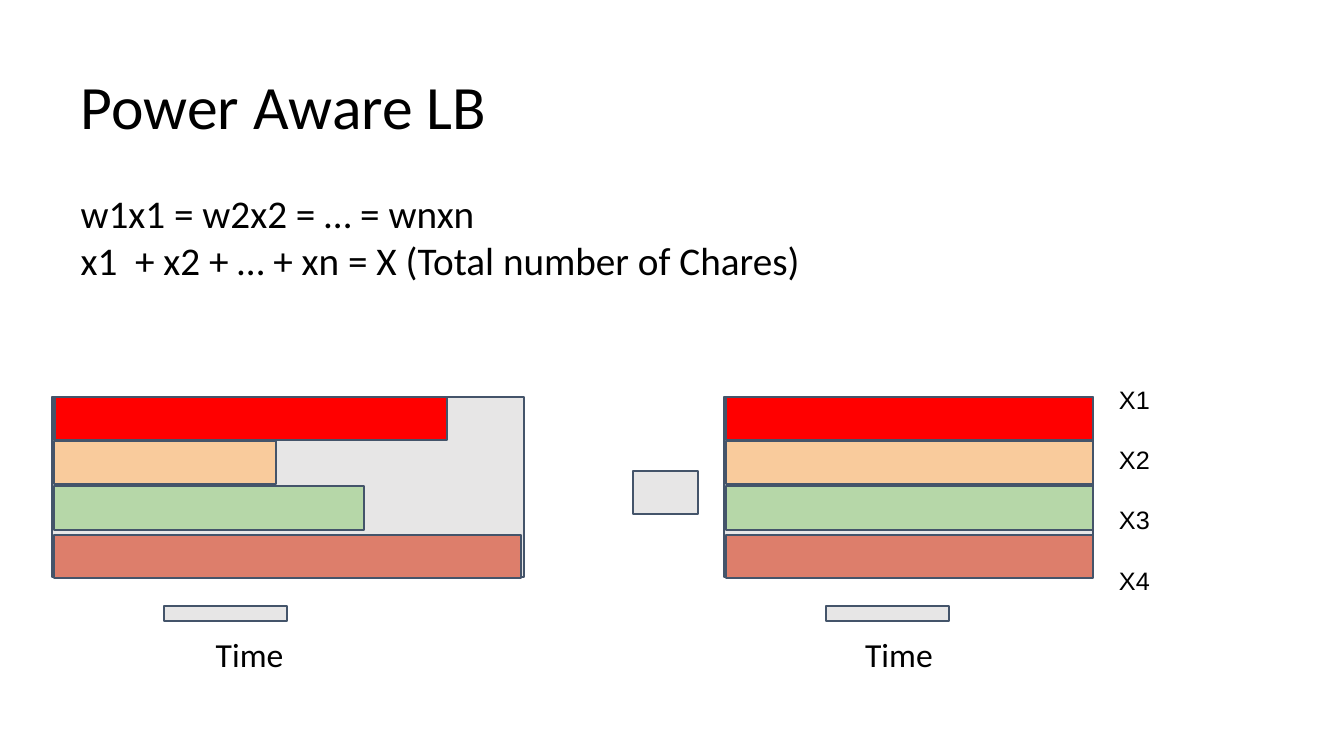
from pptx import Presentation
from pptx import util as u
from pptx.dml import color
from pptx.enum import shapes, text

INK = "000000"
GRAY = "E7E6E6"
EDGE = "44546A"
TASKS = ["FF0000", "F9CB9C", "B6D7A8", "DD7E6B"]
ROWS = [0, 0.44, 0.89, 1.37]


def rgb(code):
    """Turn a hex string into a colour."""
    return color.RGBColor.from_string(code)


def bar(slide, left, top, width, height, fill=GRAY):
    """Draw one outlined bar."""
    box = slide.shapes.add_shape(
        shapes.MSO_SHAPE.RECTANGLE, *map(u.Inches, (left, top, width, height)))
    box.shadow.inherit = False
    box.fill.solid()
    box.fill.fore_color.rgb = rgb(fill)
    box.line.color.rgb = rgb(EDGE)
    box.line.width = u.Pt(1.5)


def label(slide, left, top, width, height, lines, size, font="Calibri",
          frame=None, **para):
    """Write lines of text in a box."""
    box = slide.shapes.add_textbox(*map(u.Inches, (left, top, width, height)))
    body = box.text_frame
    inset = u.Inches(0.13)
    style = dict(word_wrap=True, margin_left=inset, margin_right=inset,
                 margin_top=inset, margin_bottom=inset)
    style.update(frame or {})
    for name, value in style.items():
        setattr(body, name, value)
    for i, line in enumerate(lines):
        part = body.add_paragraph() if i else body.paragraphs[0]
        for name, value in para.items():
            setattr(part, name, value)
        run = part.add_run()
        run.text = line
        run.font.name = font
        run.font.size = u.Pt(size)
        run.font.color.rgb = rgb(INK)


def header(slide, left, top, width):
    """Place the title and the two equations."""
    label(slide, left, top, width, 1.25, ["Power Aware LB"], 44,
          frame={"vertical_anchor": text.MSO_ANCHOR.BOTTOM}, line_spacing=0.9)
    label(slide, left, top + 1.45, width, 5.43,
          ["w1x1 = w2x2 = … = wnxn",
           "x1  + x2 + … + xn = X (Total number of Chares)"], 28)


def load(slide, left, top, width, spans, axis, name):
    """Draw one load diagram with its time axis."""
    bar(slide, left, top, width, 1.79)
    for row, span, fill in zip(ROWS, spans, TASKS):
        bar(slide, left + 0.02, top + row, span, 0.43, fill)
    bar(slide, left + axis, top + 2.08, 1.22, 0.15)
    label(slide, left + name, top + 2.22, 1.15, 0.32, ["Time"], 24)


def counts(slide, left, top):
    """List the share of each processor."""
    edge = u.Inches(0.05)
    label(slide, left, top, 0.5, 2.34, [f"X{n}" for n in range(1, 5)], 18,
          "Arial", dict(margin_left=u.Inches(0.1), margin_right=0,
                        margin_top=edge, margin_bottom=edge),
          space_after=u.Pt(21.5))


def main():
    """Build and save the slide."""
    deck = Presentation()
    deck.slide_width, deck.slide_height = u.Inches(13.33), u.Inches(7.5)
    slide = deck.slides.add_slide(deck.slide_layouts[6])
    header(slide, 0.67, 0.3, 12)
    load(slide, 0.52, 3.935, 4.68, [3.89, 2.2, 3.07, 4.63], 1.11, 1.49)
    load(slide, 7.18, 3.935, 3.66, [3.64] * 4, 1.01, 1.27)
    bar(slide, 6.28, 4.67, 0.64, 0.43)
    counts(slide, 11, 3.76)
    deck.save("out.pptx")


if __name__ == "__main__":
    main()
